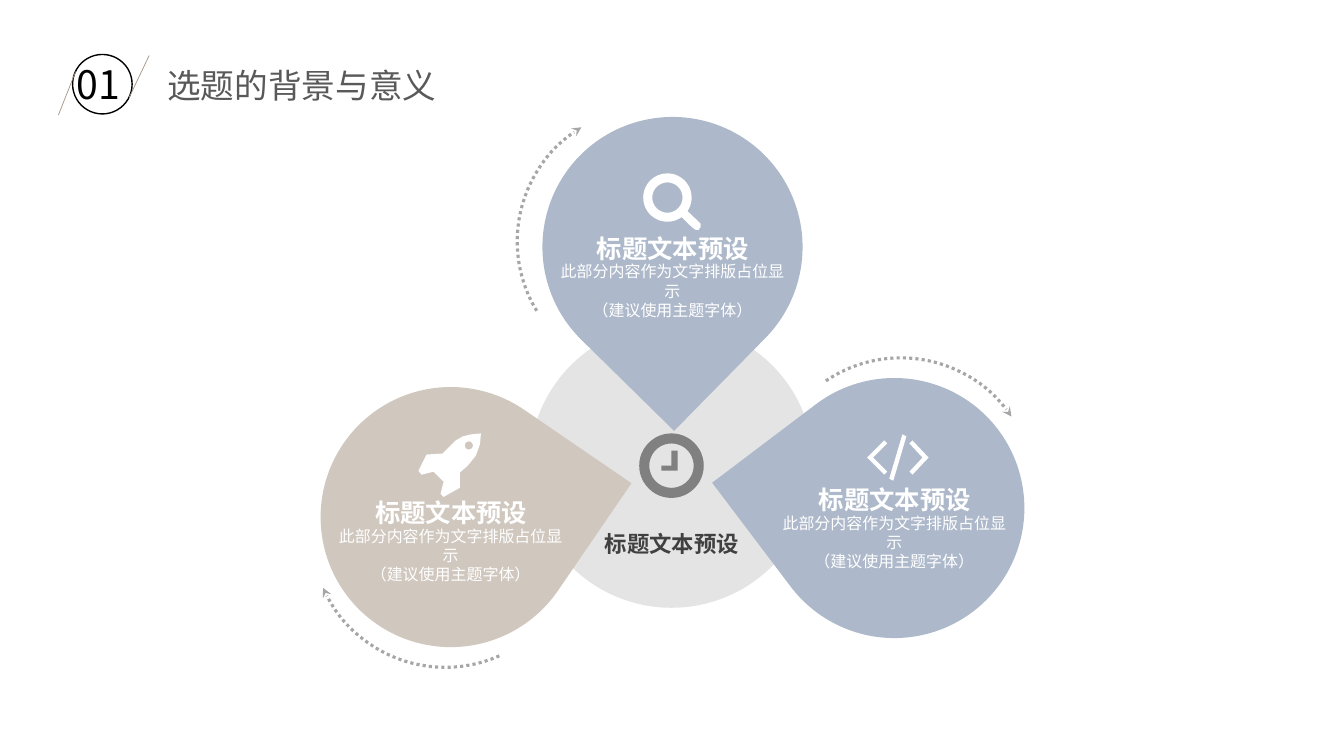
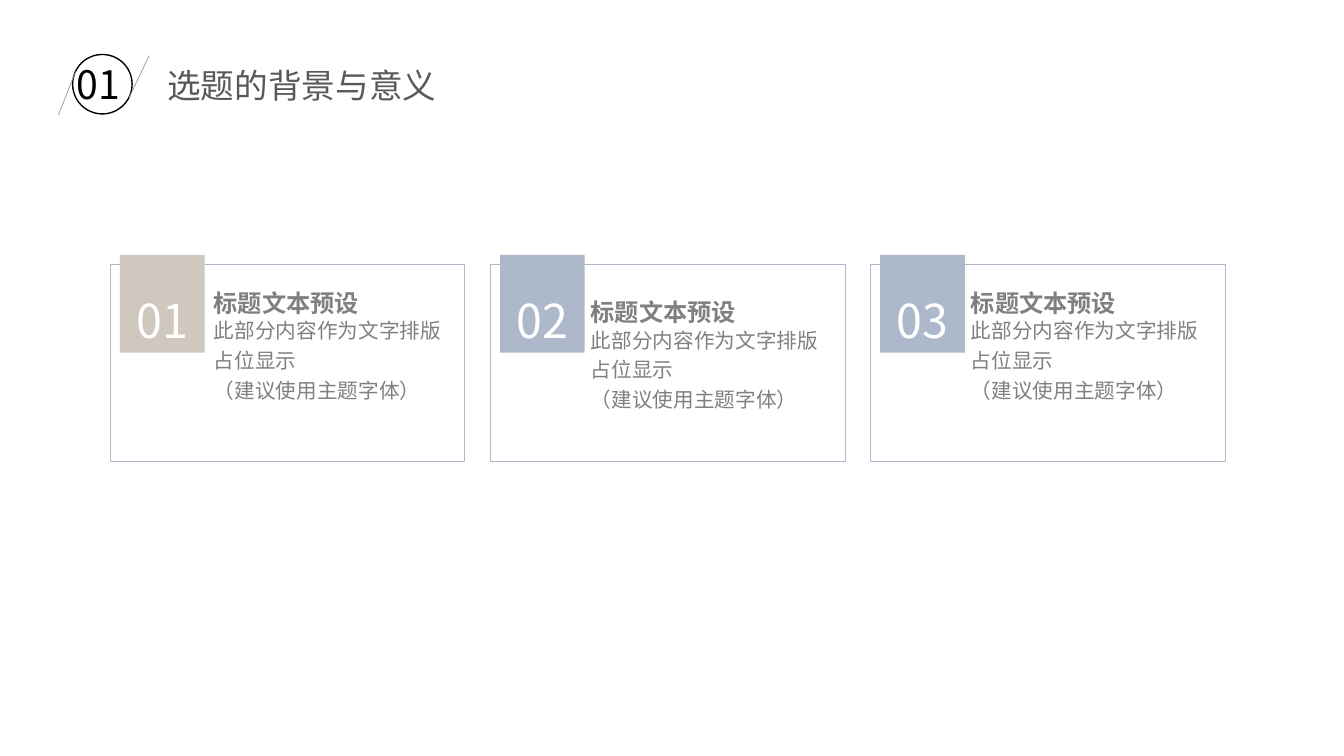
import copy
import dataclasses
import math

import lxml.etree
import pptx
import pptx.dml.color
import pptx.enum.dml
import pptx.enum.shapes
import pptx.enum.text
import pptx.oxml.ns
import pptx.util

Inches = pptx.util.Inches
qn = pptx.oxml.ns.qn
SHAPE = pptx.enum.shapes.MSO_SHAPE
ALIGN = pptx.enum.text.PP_ALIGN
ANCHOR = pptx.enum.text.MSO_ANCHOR


@dataclasses.dataclass(frozen=True)
class Theme:
    font: str = "Noto Sans CJK SC"
    title_font: str = "Arial"
    black: str = "000000"
    white: str = "FFFFFF"
    blue: str = "ADB9CA"
    sand: str = "D0C7BE"
    slash: str = "A69584"
    hub: str = "D9D9D9"
    arrow: str = "A6A6A6"
    gray: str = "808080"
    dark: str = "404040"
    title: str = "595959"
    title_size: float = 24
    section_size: float = 28
    drop_heading_size: float = 18.1
    drop_body_size: float = 11.4
    hub_size: float = 16
    badge_size: float = 33.3
    card_heading_size: float = 17.3
    card_body_size: float = 14.7


theme = Theme()


def paint(shape, fill=None, line=None, weight=1):
    shape.shadow.inherit = False
    if fill:
        shape.fill.solid()
        shape.fill.fore_color.rgb = pptx.dml.color.RGBColor.from_string(fill)
    else:
        shape.fill.background()
    if line:
        shape.line.color.rgb = pptx.dml.color.RGBColor.from_string(line)
        shape.line.width = pptx.util.Pt(weight)
    else:
        shape.line.fill.background()
    return shape


def write(shape, text, size, color, bold=False, align=ALIGN.LEFT, anchor=ANCHOR.TOP,
          font=theme.font, inset=True, wrap=True, spacing=None):
    frame = shape.text_frame
    frame.auto_size = pptx.enum.text.MSO_AUTO_SIZE.NONE
    frame.word_wrap = wrap
    frame.vertical_anchor = anchor
    if not inset:
        frame.margin_left = frame.margin_right = frame.margin_top = frame.margin_bottom = 0
    para = frame.paragraphs[0]
    para.text = text
    para.alignment = align
    if spacing:
        para.line_spacing = spacing
    for span in para.runs:
        span.font.name = font
        span.font.size = pptx.util.Pt(size)
        span.font.bold = bold
        span.font.color.rgb = pptx.dml.color.RGBColor.from_string(color)
    for props in shape.element.iter(qn("a:rPr")):
        lxml.etree.SubElement(props, qn("a:ea"), typeface=theme.font)
    for line_break in shape.element.iter(qn("a:br")):
        line_break.append(copy.deepcopy(shape.element.find(".//" + qn("a:rPr"))))


heading = "标题文本预设"
body = "此部分内容作为文字排版占位显示\n（建议使用主题字体）"

deck = pptx.Presentation()
deck.slide_width = Inches(13.33)
deck.slide_height = Inches(7.5)
pages = [deck.slides.add_slide(deck.slide_layouts[5]) for _ in range(2)]

for page in pages:
    title = page.shapes.title
    title.left, title.top, title.width, title.height = map(Inches, (1.56, 0.59, 3.32, 0.5))
    write(title, "选题的背景与意义", theme.title_size, theme.title,
          anchor=ANCHOR.MIDDLE, font=theme.title_font)
    emblem = page.shapes.add_group_shape().shapes
    paint(emblem.add_shape(SHAPE.OVAL, *map(Inches, (0.72, 0.54, 0.59, 0.59))), line=theme.black)
    for ends in ((0.75, 0.71, 0.58, 1.14), (1.48, 0.55, 1.28, 0.97)):
        slash = emblem.add_connector(pptx.enum.shapes.MSO_CONNECTOR.STRAIGHT, *map(Inches, ends))
        slash.line.color.rgb = pptx.dml.color.RGBColor.from_string(theme.slash)
        slash.line.width = pptx.util.Pt(0.5)
        lxml.etree.SubElement(slash.element.find(qn("p:spPr")), qn("a:effectLst"))
    number = page.shapes.add_textbox(*map(Inches, (0.66, 0.55, 1.03, 0.57)))
    write(number, "01", theme.section_size, theme.black)

diagram = pages[0].shapes.add_group_shape().shapes
hub = paint(diagram.add_shape(SHAPE.OVAL, *map(Inches, (5.25, 3.21, 2.82, 2.82))), theme.hub)
hub_color = hub.element.find(".//" + qn("a:srgbClr"))
lxml.etree.SubElement(hub_color, qn("a:alpha"), val="70000")

drops = [
    (7.58, 3.75, 232.9, theme.blue, 4.82),
    (3.18, 3.84, 34.4, theme.sand, 4.95),
    (5.38, 1.16, 134.5, theme.blue, 2.33),
]
for left, top, turn, color, heading_top in drops:
    drop = diagram.add_shape(SHAPE.TEAR, *map(Inches, (left, top, 2.58, 2.58)))
    drop.rotation = turn
    paint(drop, color)
for left, top, turn, color, heading_top in drops:
    box = diagram.add_textbox(*map(Inches, (left + 0.11, heading_top + 0.27, 2.36, 0.56)))
    write(box, body, theme.drop_body_size, theme.white, align=ALIGN.CENTER, inset=False)
    box = diagram.add_textbox(*map(Inches, (left + 0.62, heading_top, 1.35, 0.27)))
    write(box, heading, theme.drop_heading_size, theme.white, bold=True, align=ALIGN.CENTER,
          anchor=ANCHOR.MIDDLE, inset=False, wrap=False)
box = diagram.add_textbox(*map(Inches, (5.99, 5.26, 1.35, 0.27)))
write(box, heading, theme.hub_size, theme.dark, bold=True, align=ALIGN.CENTER,
      anchor=ANCHOR.MIDDLE, inset=False, wrap=False)

for left, top, turn in ((7.61, 3.55, 325.9), (5.13, 1.07, 238.7), (3.09, 3.97, 156.1)):
    arrow = diagram.add_shape(SHAPE.ARC, *map(Inches, (left, top, 2.65, 2.65)))
    arrow.rotation = turn
    paint(arrow, line=theme.arrow, weight=2.25)
    arrow.line.dash_style = pptx.enum.dml.MSO_LINE.ROUND_DOT
    lxml.etree.SubElement(arrow.element.find(".//" + qn("a:ln")), qn("a:tailEnd"), type="stealth")

magnifier = [
    ((6.62, 1.96, 0.24, 54, 394),
     [(6.93, 2.2), (6.95, 2.22), (6.95, 2.25), (6.93, 2.28), (6.9, 2.28), (6.87, 2.26)]),
    ((6.62, 1.96, 0.15, 0, 360), []),
]
rocket = [
    (None, [(4.64, 4.62), (4.56, 4.69), (4.56, 4.84), (4.4, 4.93), (4.37, 4.9), (4.4, 4.78),
            (4.3, 4.68), (4.18, 4.71), (4.15, 4.67), (4.23, 4.51), (4.39, 4.5), (4.46, 4.43),
            (4.52, 4.37), (4.59, 4.33), (4.67, 4.31), (4.77, 4.3), (4.76, 4.41), (4.72, 4.52)]),
    ((4.65, 4.42, 0.04, 0, 360), []),
]
code = [
    (None, [(8.77, 4.71), (8.6, 4.54), (8.77, 4.37), (8.8, 4.4), (8.66, 4.54), (8.8, 4.68)]),
    (None, [(8.86, 4.77), (8.82, 4.75), (8.95, 4.31), (8.99, 4.33)]),
    (None, [(9.05, 4.71), (9.02, 4.68), (9.15, 4.54), (9.02, 4.4), (9.05, 4.37), (9.21, 4.54)]),
]
clock = [
    ((6.66, 4.62, 0.32, 0, 360), []),
    ((6.66, 4.62, 0.22, 0, 360), []),
    (None, [(6.72, 4.67), (6.56, 4.67), (6.56, 4.62), (6.66, 4.62), (6.66, 4.47), (6.72, 4.47)]),
]
for icon, color in ((magnifier, theme.white), (rocket, theme.white),
                    (code, theme.white), (clock, theme.gray)):
    builder = None
    for curve, corners in icon:
        points = []
        if curve:
            x, y, radius, first, last = curve
            angles = [math.radians(first + (last - first) * step / 48) for step in range(49)]
            points = [(x + radius * math.cos(a), y + radius * math.sin(a)) for a in angles]
        points = [(Inches(x), Inches(y)) for x, y in points + corners]
        if builder:
            builder.move_to(*points[0])
        else:
            builder = diagram.build_freeform(*points[0])
        builder.add_line_segments(points[1:], close=True)
    paint(builder.convert_to_shape(), color)

cards = [
    ("01", theme.sand, 1.03, 2.86),
    ("02", theme.blue, 1.0, 2.95),
    ("03", theme.blue, 1.0, 2.86),
]
for index, (label, color, text_offset, text_top) in enumerate(cards):
    left = 1.09 + 3.77 * index
    card = pages[1].shapes.add_group_shape().shapes
    paint(card.add_shape(SHAPE.RECTANGLE, *map(Inches, (left, 2.62, 3.52, 1.96))),
          line=theme.blue, weight=0.5)
    badge = paint(card.add_shape(SHAPE.RECTANGLE, *map(Inches, (left + 0.1, 2.53, 0.84, 0.97))), color)
    write(badge, label, theme.badge_size, theme.white, align=ALIGN.CENTER, anchor=ANCHOR.BOTTOM)
    text_left = left + text_offset
    box = card.add_textbox(*map(Inches, (text_left, text_top, 2.42, 0.25)))
    write(box, heading, theme.card_heading_size, theme.gray, bold=True, inset=False)
    box = card.add_textbox(*map(Inches, (text_left, text_top + 0.25, 2.42, 1.02)))
    write(box, body, theme.card_body_size, theme.gray, inset=False, spacing=1.2)

deck.save("out.pptx")
